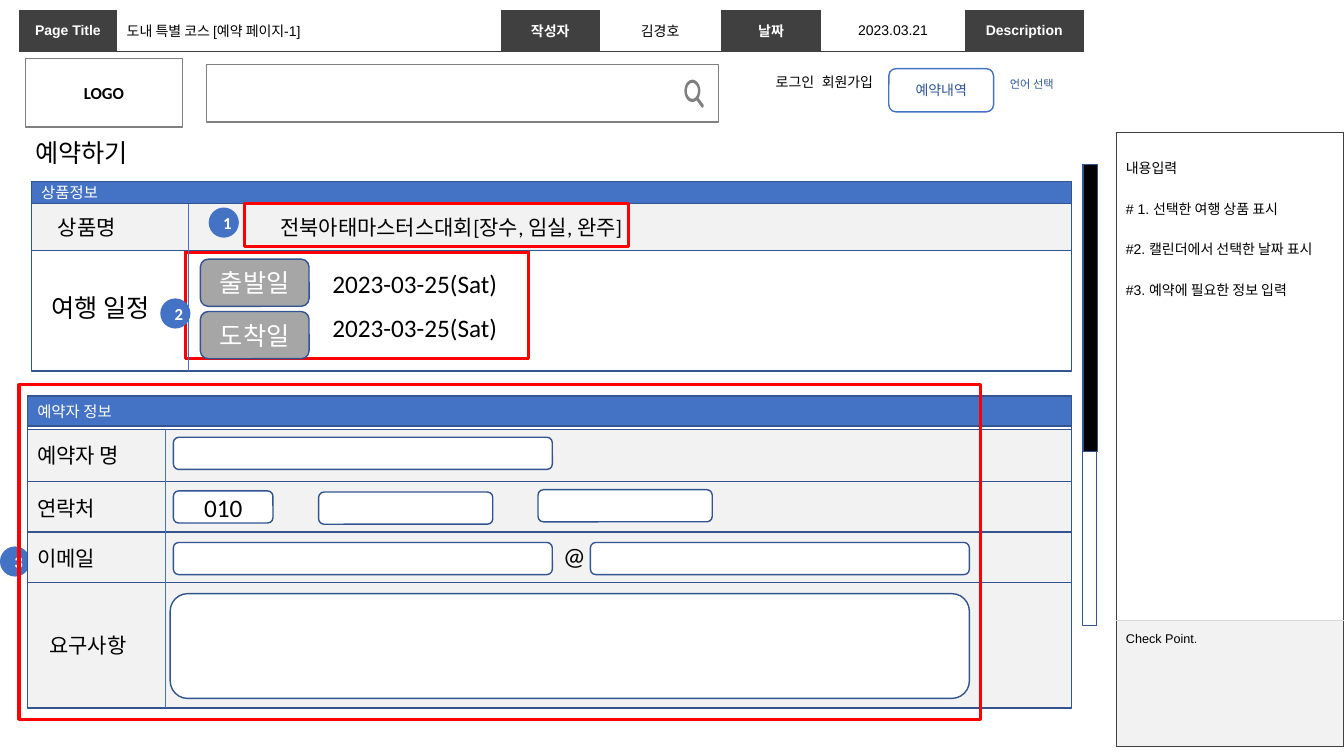
from dataclasses import dataclass
from math import cos, radians, sin
from typing import Optional

from lxml import etree
from pptx import Presentation
from pptx import util as u
from pptx.dml.color import RGBColor
from pptx.enum import shapes, text
from pptx.oxml.ns import qn

HUES = {
    "white": "FFFFFF", "black": "000000", "dark": "404040", "gray": "808080",
    "mid": "A6A6A6", "pale": "F2F2F2", "rule": "D9D9D9", "blue": "4472C4",
    "navy": "325491", "ink": "2F5597", "red": "FF0000",
}
FORMS = {
    "rect": shapes.MSO_SHAPE.RECTANGLE,
    "round": shapes.MSO_SHAPE.ROUNDED_RECTANGLE,
    "dot": shapes.MSO_SHAPE.OVAL,
}
ALIGN = {"l": text.PP_ALIGN.LEFT, "c": text.PP_ALIGN.CENTER}


@dataclass
class Box:
    """A shape or text box; lengths in cm, sizes in points."""
    x: float
    y: float
    w: float
    h: float
    form: str = "rect"
    fill: Optional[str] = None
    line: Optional[str] = "navy"
    weight: float = 1
    words: str = ""
    size: float = 18
    ink: str = "black"
    bold: bool = False
    align: str = "c"
    font: str = "Calibri"
    left: float = 0.25
    right: float = 0.25
    tab: float = 0


@dataclass
class Cell:
    lines: tuple
    fill: str
    edges: dict
    ink: str = "black"
    bold: bool = False
    size: float = 10
    align: str = "l"
    gap: float = 0
    space: float = 1
    top: float = 0.13
    anchor: text.MSO_ANCHOR = text.MSO_ANCHOR.TOP


def hue(name: str) -> RGBColor:
    return RGBColor.from_string(HUES[name])


def style(font, ink: str, **looks) -> None:
    for key, value in looks.items():
        setattr(font, key, value)
    font.color.rgb = hue(ink)


def draw(page, box: Box) -> None:
    place = [u.Cm(v) for v in (box.x, box.y, box.w, box.h)]
    if box.form == "text":
        shape = page.shapes.add_textbox(*place)
    else:
        shape = page.shapes.add_shape(FORMS[box.form], *place)
        shape.shadow.inherit = False
        paint(shape, box)
    if not box.words:
        return
    frame = shape.text_frame
    looks = {
        "word_wrap": True,
        "margin_left": u.Cm(box.left),
        "margin_right": u.Cm(box.right),
        "vertical_anchor": text.MSO_ANCHOR.TOP if box.form == "text" else text.MSO_ANCHOR.MIDDLE,
    }
    for key, value in looks.items():
        setattr(frame, key, value)
    para = frame.paragraphs[0]
    para.alignment = ALIGN[box.align]
    if box.tab:
        stops = etree.SubElement(para._p.get_or_add_pPr(), qn("a:tabLst"))
        etree.SubElement(stops, qn("a:tab"), pos=str(u.Cm(box.tab)), algn="l")
    run = para.add_run()
    run.text = box.words
    style(run.font, box.ink, name=box.font, size=u.Pt(box.size), bold=box.bold)


def paint(shape, box: Box) -> None:
    if box.fill:
        shape.fill.solid()
        shape.fill.fore_color.rgb = hue(box.fill)
    else:
        shape.fill.background()
    if box.line:
        shape.line.color.rgb = hue(box.line)
        shape.line.width = u.Pt(box.weight)
    else:
        shape.line.fill.background()


def fill_cell(cell, data: Cell) -> None:
    props = cell._tc.get_or_add_tcPr()
    for side in "LRTB":
        name = data.edges.get(side)
        edge = etree.SubElement(props, qn(f"a:ln{side}"), w=str(u.Pt(0.25)))
        if name:
            solid = etree.SubElement(edge, qn("a:solidFill"))
            etree.SubElement(solid, qn("a:srgbClr"), val=HUES[name])
        else:
            etree.SubElement(edge, qn("a:noFill"))
    cell.fill.solid()
    cell.fill.fore_color.rgb = hue(data.fill)
    cell.vertical_anchor = data.anchor
    cell.margin_top = u.Cm(data.top)
    frame = cell.text_frame
    for i, words in enumerate(data.lines):
        para = frame.add_paragraph() if i else frame.paragraphs[0]
        para.alignment = ALIGN[data.align]
        para.line_spacing = data.space
        if i:
            para.space_before = u.Pt(data.gap)
        run = para.add_run()
        run.text = words
        style(run.font, data.ink, name="Arial", size=u.Pt(data.size), bold=data.bold)


def add_grid(page, x: float, y: float, cols: list, rows: list, cells: list) -> None:
    """Cells run row by row."""
    grid = page.shapes.add_table(len(rows), len(cols), u.Cm(x), u.Cm(y),
                                 u.Cm(sum(cols)), u.Cm(sum(rows))).table
    grid.first_row = grid.horz_banding = False
    for col, wide in zip(grid.columns, cols):
        col.width = u.Cm(wide)
    for row, high in zip(grid.rows, rows):
        row.height = u.Cm(high)
    for cell, data in zip(grid.iter_cells(), cells):
        fill_cell(cell, data)


def add_rule(page, x: float, top: float, end: float) -> None:
    rule = page.shapes.add_connector(shapes.MSO_CONNECTOR.STRAIGHT,
                                     u.Cm(x), u.Cm(top), u.Cm(x), u.Cm(end))
    rule.line.color.rgb = hue("blue")
    rule.line.width = u.Pt(0.5)
    etree.SubElement(rule._element.spPr, qn("a:effectLst"))


def add_lens(page) -> None:
    """Search icon: a ring with a handle."""
    def arc(wide: float, high: float, start: int, stop: int) -> list:
        return [(u.Cm(17.45 + wide * cos(radians(a))), u.Cm(2.29 + high * sin(radians(a))))
                for a in range(start, stop + 1, 6)]

    rim = arc(0.2, 0.28, 58, 400)
    grip = [(u.Cm(x), u.Cm(y)) for x, y in
            ((17.73, 2.64), (17.73, 2.69), (17.7, 2.72), (17.67, 2.69))]
    hole = arc(0.14, 0.2, 0, 354)[::-1]
    pen = page.shapes.build_freeform(*rim[0])
    pen.add_line_segments(rim[1:] + grip)
    pen.move_to(*hole[0])
    pen.add_line_segments(hole[1:])
    lens = pen.convert_to_shape()
    lens.shadow.inherit = False
    paint(lens, Box(0, 0, 0, 0, fill="gray", line=None))


def label(x: float, y: float, w: float, words: str, **more) -> Box:
    return Box(x, y, w, 1.02, "text", words=words, align="l", **more)


def badge(x: float, y: float, words: str) -> Box:
    return Box(x, y, 0.76, 0.76, "dot", "blue", None, words=words, size=12,
               ink="white", bold=True, right=0.08)


def field(x: float, y: float, w: float, h: float = 0.81, words: str = "") -> Box:
    return Box(x, y, w, h, "round", "white", words=words)


def frame(x: float, y: float, w: float, h: float) -> Box:
    return Box(x, y, w, h, line="red", weight=2.25)


def band(x: float, y: float, w: float, h: float, words: str, **more) -> Box:
    looks = {"fill": "pale", "size": 15, "align": "l", **more}
    return Box(x, y, w, h, words=words, **looks)


def main() -> None:
    deck = Presentation()
    deck.slide_width, deck.slide_height = u.Cm(33.87), u.Cm(19.05)
    page = deck.slides.add_slide(deck.slide_layouts[6])

    heads = ["Page Title", "도내 특별 코스 [예약 페이지-1]", "작성자", "김경호",
             "날짜", "2023.03.21", "Description"]
    cells = [Cell((words,), "white" if i % 2 else "dark", {"B": "dark"},
                  "black" if i % 2 else "white", i % 2 == 0,
                  align="l" if i == 1 else "c", anchor=text.MSO_ANCHOR.MIDDLE)
             for i, words in enumerate(heads)]
    add_grid(page, 0.48, 0.25, [2.46, 9.68, 2.49, 3.05, 2.54, 3.61, 3, 4.52], [0.81],
             cells + [Cell((), "white", {})])
    notes = ("내용입력", "# 1. 선택한 여행 상품 표시", "#2. 캘린더에서 선택한 날짜 표시",
             "#3. 예약에 필요한 정보 입력")
    sides = {"L": "dark", "R": "dark"}
    add_grid(page, 28.12, 3.33, [5.74], [12.29, 3.18], [
        Cell(notes, "white", {**sides, "T": "dark", "B": "rule"}, gap=14.5, top=0.64),
        Cell(("Check Point.",), "pale", {**sides, "T": "rule", "B": "dark"}, size=9, space=1.5)])

    bar = {"fill": "blue", "size": 11, "ink": "white"}
    top = [
        Box(0.64, 1.47, 3.96, 1.73, fill="white", line="gray", words="LOGO", size=12, bold=True),
        Box(5.21, 1.63, 12.9, 1.45, fill="white", line="gray"),
        label(19.3, 1.73, 3.05, "로그인\t회원가입", size=10, font="Arial", tab=1.16),
        Box(22.4, 1.73, 2.64, 1.09, "round", line="blue", words="예약내역", size=10, ink="ink"),
        label(25.2, 1.83, 2.06, "언어 선택", size=8, ink="ink"),
        Box(27.28, 4.14, 0.36, 11.63), Box(27.3, 4.14, 0.36, 7.24, fill="black"),
        label(0.64, 3.33, 4.34, "예약하기"),
        frame(4.67, 6.35, 8.64, 2.69), badge(4.04, 7.52, "2"), badge(0, 13.77, "3"),
        Box(0.79, 4.57, 26.21, 4.78),
        band(0.79, 4.57, 26.21, 0.56, "상품정보", **bar),
        band(0.79, 5.13, 26.21, 1.19, "상품명\t전북아태마스터스대회[장수, 임실, 완주]", left=0.67, tab=5.6),
        label(1.04, 7.24, 3.33, "여행 일정"),
    ]
    for i, words in enumerate(("출발일", "도착일")):
        top += [Box(5.05, 6.53 + 1.32 * i, 2.74, 1.19, "round", "mid", words=words, ink="white"),
                label(8.13, 6.63 + 1.12 * i, 5.21, "2023-03-25(Sat)")]
    top += [Box(0.69, 9.98, 26.31, 7.87), band(0.69, 9.98, 26.31, 0.76, "예약자 정보", **bar)]
    rows = [(10.82, "예약자 명"), (12.14, "연락처"), (13.41, "이메일")]
    top += [band(0.69, y, 26.31, 1.32, words) for y, words in rows]
    top.append(band(0.69, 14.68, 26.31, 3.15, "요구사항", left=0.55))
    fields = [
        field(4.37, 11.02, 9.55), field(4.37, 12.37, 2.51, words="010"),
        field(8.03, 12.4, 4.39), field(13.56, 12.34, 4.39),
        field(4.37, 13.67, 9.55), field(14.88, 13.67, 9.55),
        label(13.94, 13.49, 1.09, "@"), field(4.29, 14.96, 20.14, 2.64),
        frame(0.48, 9.7, 24.23, 8.43), frame(6.17, 5.13, 9.68, 1.09), badge(5.26, 5.23, "1"),
    ]
    for box in top:
        draw(page, box)
    add_lens(page)
    add_rule(page, 4.75, 5.13, 9.35)
    add_rule(page, 4.17, 10.82, 17.83)
    for box in fields:
        draw(page, box)
    deck.save("out.pptx")


if __name__ == "__main__":
    main()
